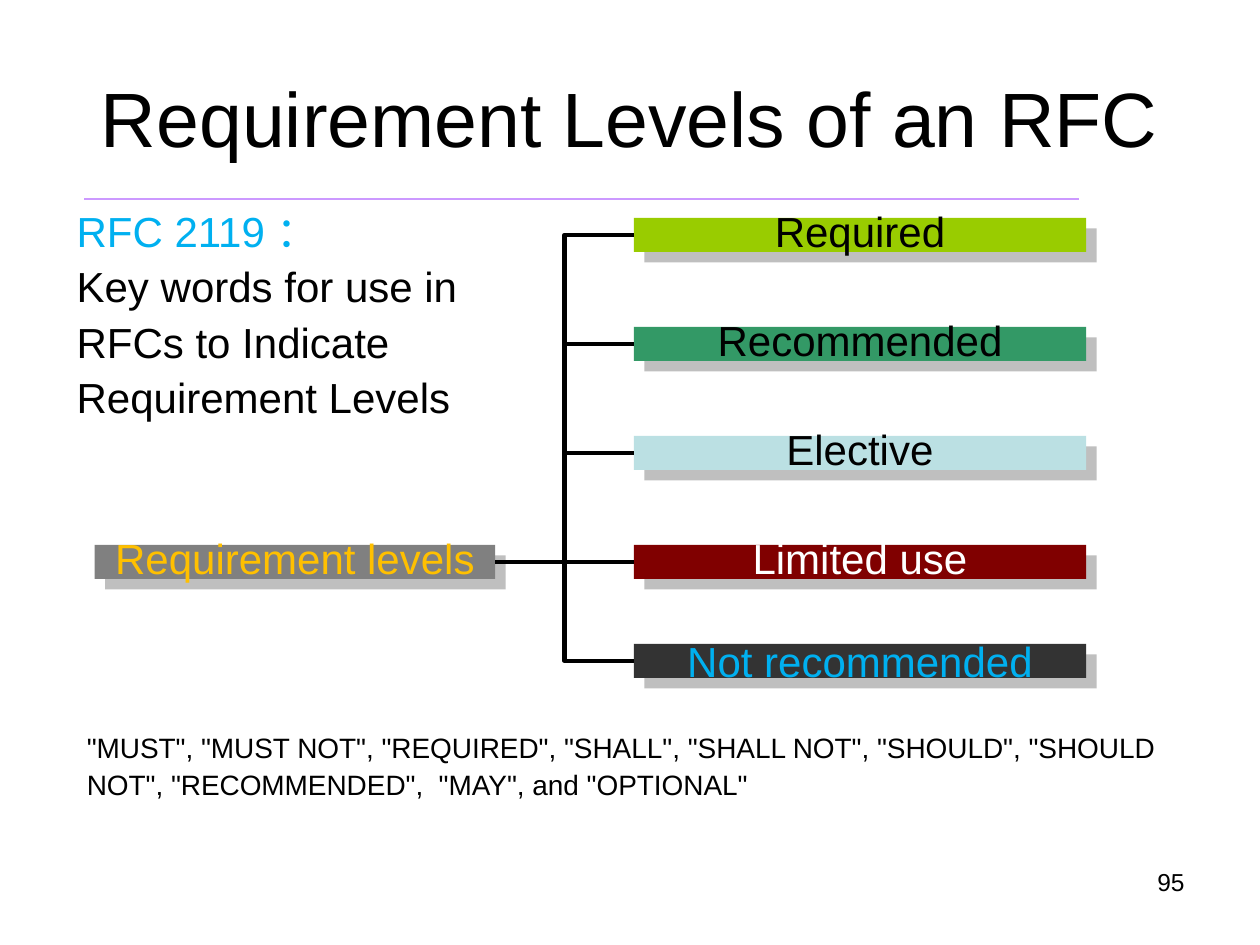
from lxml.etree import SubElement
from pptx import Presentation
from pptx.dml.color import RGBColor
from pptx.enum.shapes import MSO_CONNECTOR, MSO_SHAPE
from pptx.enum.text import MSO_ANCHOR, MSO_AUTO_SIZE, PP_ALIGN
from pptx.oxml.ns import qn
from pptx.util import Inches, Pt

COLORS = {
    "black": "000000", "white": "FFFFFF", "rule": "CC99FF", "shadow": "808080",
    "gray": "808080", "amber": "FFC000", "sky": "00B0F0", "lime": "99CC00",
    "green": "339966", "pale": "BBE0E3", "maroon": "800000", "charcoal": "333333",
}
BAR_HEIGHT = 0.27
LABEL_HEIGHT = 0.4
LEVEL_LEFT, LEVEL_WIDTH = 5.03, 3.59
LEVEL_TOP, LEVEL_STEP = 1.73, 0.865

# Text, bar colour, text colour, label width
LEVELS = [
    ("Required", "lime", "black", 1.82),
    ("Recommended", "green", "black", 2.91),
    ("Elective", "pale", "black", 1.58),
    ("Limited use", "maroon", "white", 2.31),
    ("Not recommended", "charcoal", "sky", 3.64),
]
LAST_LEVEL_TOP = 5.11
ROOT_LEFT, ROOT_WIDTH = 0.75, 3.18
ROOT_TOP = LEVEL_TOP + 3 * LEVEL_STEP


def color(name):
    return RGBColor.from_string(COLORS[name])


def write_paragraph(paragraph, text, size, color_name, **formats):
    for name, value in formats.items():
        setattr(paragraph, name, value)
    run = paragraph.add_run()
    run.text = text
    for name, value in {"name": "Arial", "size": Pt(size)}.items():
        setattr(run.font, name, value)
    run.font.color.rgb = color(color_name)


def add_text(slide, box, lines, size, margins=None, **formats):
    """Add a text box; lines holds pairs of text and colour name."""
    frame = slide.shapes.add_textbox(*map(Inches, box)).text_frame
    frame.word_wrap = True
    frame.auto_size = MSO_AUTO_SIZE.SHAPE_TO_FIT_TEXT
    if margins is not None:
        for side in ("left", "top", "right", "bottom"):
            setattr(frame, f"margin_{side}", Inches(margins))
    for index, (text, color_name) in enumerate(lines):
        paragraph = frame.add_paragraph() if index else frame.paragraphs[0]
        write_paragraph(paragraph, text, size, color_name, **formats)


def add_bar(slide, left, top, width, color_name):
    box = map(Inches, (left, top, width, BAR_HEIGHT))
    bar = slide.shapes.add_shape(MSO_SHAPE.RECTANGLE, *box)
    bar.fill.solid()
    bar.fill.fore_color.rgb = color(color_name)
    bar.line.fill.background()
    # Hard half-transparent shadow, down and to the right
    effects = SubElement(bar._element.spPr, qn("a:effectLst"))
    shadow = SubElement(effects, qn("a:outerShdw"), blurRad="0",
                        dist=str(Pt(8.5)), dir="2700000", algn="ctr", rotWithShape="0")
    tint = SubElement(shadow, qn("a:srgbClr"), val=COLORS["shadow"])
    SubElement(tint, qn("a:alpha"), val="50000")
    return bar


def add_label(slide, center, bar_top, width, text, color_name, rise=0.1):
    box = (center - width / 2, bar_top - rise, width, LABEL_HEIGHT)
    add_text(slide, box, [(text, color_name)], 24, margins=0, alignment=PP_ALIGN.CENTER)


def add_line(slide, kind, start, end, color_name, width):
    connector = slide.shapes.add_connector(kind, *start, *end)
    connector.line.color.rgb = color(color_name)
    connector.line.width = Pt(width)
    SubElement(connector._element.spPr, qn("a:effectLst"))
    return connector


def join_bars(slide, root, level):
    kind = MSO_CONNECTOR.STRAIGHT if root.top == level.top else MSO_CONNECTOR.ELBOW
    start = (root.left + root.width, root.top + root.height // 2)
    end = (level.left, level.top + level.height // 2)
    connector = add_line(slide, kind, start, end, "black", 2.5)
    connector.begin_connect(root, 3)
    connector.end_connect(level, 1)


def add_title(slide, text):
    title = slide.shapes.title
    box = {"left": 0.5, "top": 0.3, "width": 9, "height": 1.25}
    for name, value in box.items():
        setattr(title, name, Inches(value))
    title.text_frame.vertical_anchor = MSO_ANCHOR.MIDDLE
    write_paragraph(title.text_frame.paragraphs[0], text, 44, "black",
                    alignment=PP_ALIGN.CENTER)


def add_level_tree(slide):
    tops = [LEVEL_TOP + index * LEVEL_STEP for index in range(4)] + [LAST_LEVEL_TOP]
    root = add_bar(slide, ROOT_LEFT, ROOT_TOP, ROOT_WIDTH, "gray")
    bars = [add_bar(slide, LEVEL_LEFT, top, LEVEL_WIDTH, fill)
            for top, (_, fill, _, _) in zip(tops, LEVELS)]

    # Labels sit a little above their bars
    center = LEVEL_LEFT + LEVEL_WIDTH / 2
    for top, (text, _, text_color, width) in zip(tops, LEVELS):
        rise = 0.07 if top == LAST_LEVEL_TOP else 0.1
        add_label(slide, center, top, width, text, text_color, rise)
    add_label(slide, ROOT_LEFT + ROOT_WIDTH / 2, ROOT_TOP, 3.05,
              "Requirement levels", "amber")

    for bar in bars:
        join_bars(slide, root, bar)


def main():
    presentation = Presentation()
    presentation.slide_width = Inches(10)
    presentation.slide_height = Inches(7.5)
    slide = presentation.slides.add_slide(presentation.slide_layouts[5])

    # Title, rule and page number
    add_title(slide, "Requirement Levels of an RFC")
    add_line(slide, MSO_CONNECTOR.STRAIGHT, (Inches(0.67), Inches(1.58)),
             (Inches(8.56), Inches(1.58)), "rule", 1)
    add_text(slide, (7.17, 6.83, 2.33, 0.52), [("95", "black")], 14,
             alignment=PP_ALIGN.RIGHT)

    add_level_tree(slide)

    # Key words and their source
    add_text(slide, (0.59, 5.72, 8.82, 0.67), [(
        '"MUST", "MUST NOT", "REQUIRED", "SHALL", "SHALL NOT", "SHOULD", '
        '"SHOULD NOT", "RECOMMENDED",  "MAY", and "OPTIONAL"', "black")],
        16, line_spacing=1.1)
    add_text(slide, (0.51, 1.54, 3.98, 1.84), [
        ("RFC 2119 ：", "sky"),
        ("Key words for use in RFCs to Indicate Requirement Levels", "black"),
    ], 24, line_spacing=1.1)

    presentation.save("out.pptx")


if __name__ == "__main__":
    main()
